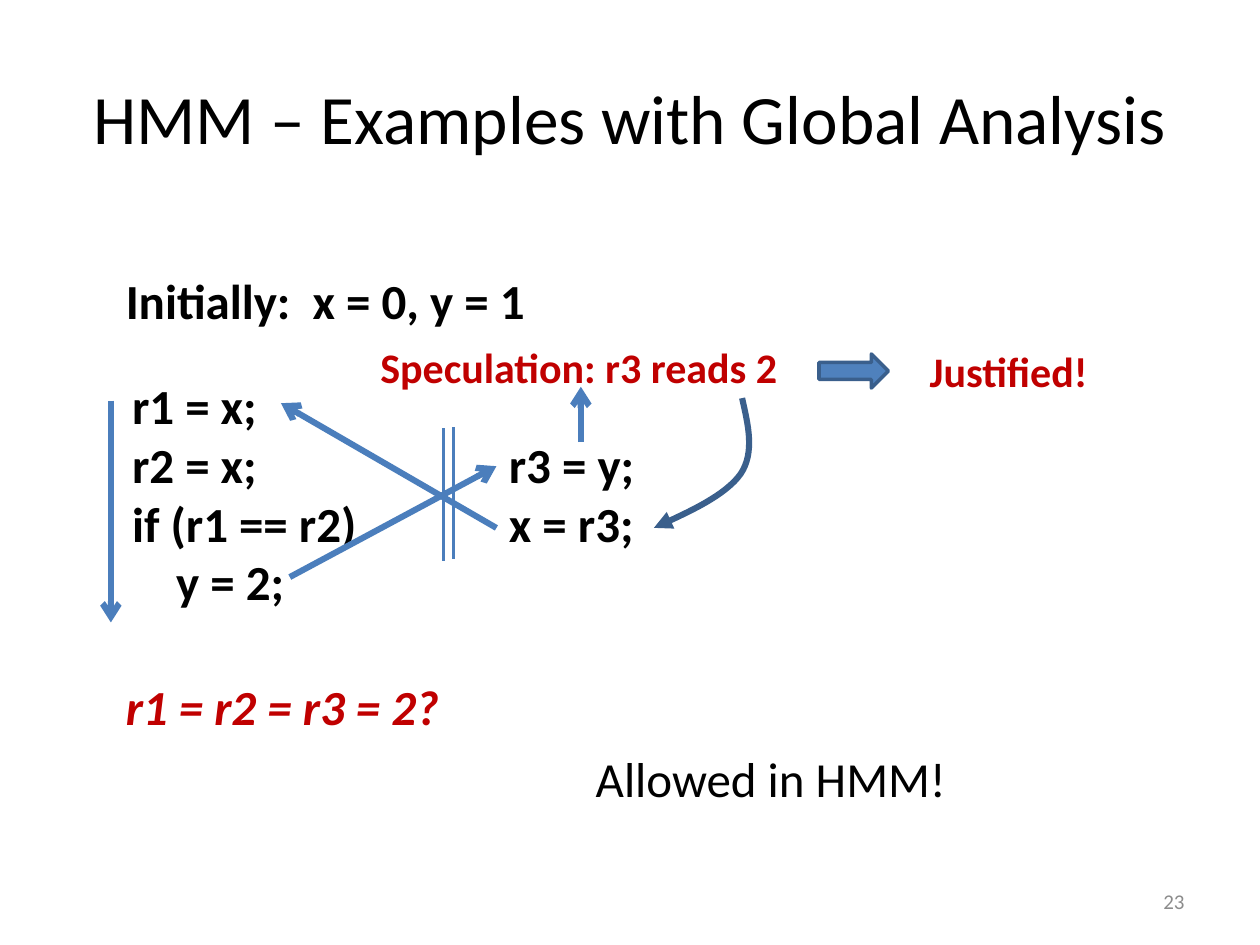
"""Build the slide on speculation and global analysis in HMM."""
from pptx import Presentation
from pptx.dml.color import RGBColor
from pptx.enum.shapes import MSO_CONNECTOR, MSO_SHAPE
from pptx.enum.text import MSO_ANCHOR, PP_ALIGN
from pptx.oxml.xmlchemy import OxmlElement
from pptx.util import Inches, Pt

COLS, ROWS = 100, 75
BLACK, RED, GREY = "000000", "C00000", "8C8C8C"
BLUE, NAVY, FILL = "4B7EBC", "3A5F8C", "4F81BD"


def rgb(value):
    """Turn a hex string into a colour."""
    return RGBColor.from_string(value)


def bezier(start, c1, c2, end, steps=16):
    """Return the points of a cubic curve after its start."""
    points = []
    for i in range(1, steps + 1):
        t = i / steps
        u = 1 - t
        weights = (u ** 3, 3 * u * u * t, 3 * u * t * t, t ** 3)
        points.append(tuple(sum(w * pt[axis] for w, pt in zip(weights, (start, c1, c2, end)))
                            for axis in (0, 1)))
    return points


class Deck:
    """Hold the style and the current slide; lengths are grid columns and rows."""

    def __init__(self, font="Calibri"):
        """Start a presentation with one title-only slide."""
        self.font = font
        self.prs = Presentation()
        self.prs.slide_width, self.prs.slide_height = Inches(10), Inches(7.5)
        self.s = self.prs.slides.add_slide(self.prs.slide_layouts[5])

    def grid(self, *values):
        """Turn alternating columns and rows into lengths."""
        sizes = (self.prs.slide_width / COLS, self.prs.slide_height / ROWS)
        return [round(v * sizes[i % 2]) for i, v in enumerate(values)]

    def set_text(self, sp, text, size, color, bold=None, italic=None,
                 align=PP_ALIGN.LEFT, anchor=MSO_ANCHOR.TOP):
        """Fill a shape with formatted text."""
        tf = sp.text_frame
        tf.text = text
        tf.word_wrap = True
        tf.vertical_anchor = anchor
        for p in tf.paragraphs:
            p.alignment = align
            for r in p.runs:
                f = r.font
                f.name, f.size, f.bold, f.italic = self.font, Pt(size), bold, italic
                f.color.rgb = rgb(color)
        return tf

    def title(self, box, text, size):
        """Place and fill the title placeholder."""
        sp = self.s.shapes.title
        sp.left, sp.top, sp.width, sp.height = self.grid(*box)
        self.set_text(sp, text, size, BLACK, align=PP_ALIGN.CENTER, anchor=MSO_ANCHOR.MIDDLE)

    def text(self, box, text, size=28, color=BLACK, **style):
        """Add a text box."""
        sp = self.s.shapes.add_textbox(*self.grid(*box))
        return self.set_text(sp, text, size, color, **style)

    def stroke(self, sp, color, width, head=None):
        """Style a line and give its end an arrowhead."""
        sp.line.color.rgb = rgb(color)
        sp.line.width = Pt(width)
        if head:
            tail = OxmlElement("a:tailEnd")
            tail.set("type", head)
            sp.line._get_or_add_ln().append(tail)

    def line(self, ends, width=3.5, head="arrow"):
        """Add a straight line."""
        sp = self.s.shapes.add_connector(MSO_CONNECTOR.STRAIGHT, *self.grid(*ends))
        self.stroke(sp, BLUE, width, head)
        sp._element.spPr.append(OxmlElement("a:effectLst"))

    def curve(self, start, *segments):
        """Add an open curve of cubic segments that ends in an arrowhead."""
        points = [start]
        for segment in segments:
            points += bezier(points[-1], *segment)
        points = [self.grid(*pt) for pt in points]
        builder = self.s.shapes.build_freeform(*points[0])
        builder.add_line_segments(points[1:], close=False)
        sp = builder.convert_to_shape()
        sp.shadow.inherit = False
        sp.fill.background()
        self.stroke(sp, NAVY, 3.5, "triangle")

    def block_arrow(self, box):
        """Add a filled arrow pointing right."""
        sp = self.s.shapes.add_shape(MSO_SHAPE.RIGHT_ARROW, *self.grid(*box))
        sp.shadow.inherit = False
        sp.fill.solid()
        sp.fill.fore_color.rgb = rgb(FILL)
        self.stroke(sp, NAVY, 2)


def main():
    """Draw the slide and save it."""
    deck = Deck()
    deck.title((5, 3, 90, 12.5), "HMM – Examples with Global Analysis", 39.6)

    thread1 = deck.text((9.5, 29.3, 25.7, 19.9),
                        "r1 = x;\nr2 = x;\nif (r1 == r2)\ny = 2;", bold=True)
    thread1.paragraphs[-1]._p.get_or_add_pPr().set("marL", str(Inches(0.35)))
    deck.text((39.4, 34, 13.9, 10.4), "r3 = y;\nx = r3;", bold=True)
    for x, y in ((35.2, 34), (36, 33.9)):
        deck.line((x, y, x, y + 10.5), width=2, head=None)

    deck.text((9, 21, 40.4, 5.7), "Initially:  x = 0, y = 1", bold=True)
    deck.text((9, 53.2, 30.4, 5.7), "r1 = r2 = r3 = 2?", color=RED, bold=True, italic=True)
    deck.text((29.2, 26.6, 39, 5), "Speculation: r3 reads 2", 24, RED, bold=True)

    for ends in ((23, 45.8, 39.4, 37), (39.4, 41.9, 22.3, 32),
                 (8.8, 31.8, 8.8, 49.4), (46.1, 35.1, 46.1, 30.7)):
        deck.line(ends)
    deck.text((46.3, 58.9, 32.3, 5.7), "Allowed in HMM!")
    deck.curve((58.9, 31.6),
               ((59.4, 33.8), (59.9, 35.9), (58.8, 37.6)),
               ((57.6, 39.3), (54.8, 40.6), (51.9, 41.9)))

    deck.text((72.8, 26.9, 16.6, 5), "Justified!", 24, RED, bold=True)
    deck.block_arrow((65, 28.1, 5.5, 2.7))
    deck.text((71.7, 69.5, 23.3, 4), "23", 12, GREY,
              align=PP_ALIGN.RIGHT, anchor=MSO_ANCHOR.MIDDLE)
    deck.prs.save("out.pptx")


if __name__ == "__main__":
    main()
